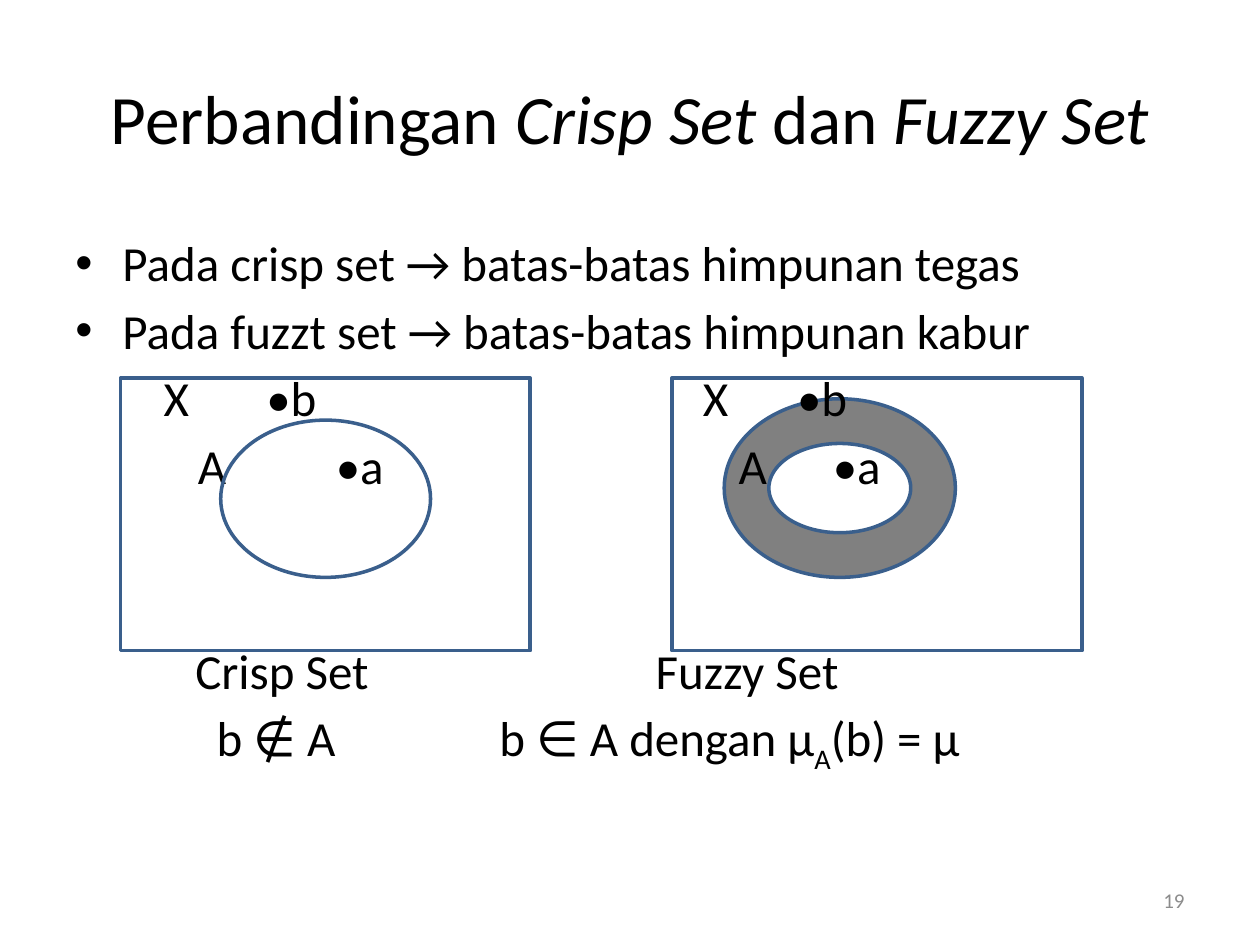
from lxml.etree import SubElement
from pptx import Presentation
from pptx.dml.color import RGBColor
from pptx.enum.shapes import MSO_SHAPE as Shape
from pptx.enum.text import MSO_ANCHOR as Anchor, PP_ALIGN as Align
from pptx.oxml.ns import qn
from pptx.util import Cm, Pt

COLORS = {"text": "000000", "number": "8C8C8C", "outline": "3A5F8C", "fuzzy": "808080"}
FONT = "Calibri"
LINE_GAP = 5
DIAGRAM_GAP = 83.4  # leaves room for the lower part of the diagrams

# Each row: its texts with their tab positions in cm, and the space before in pt
ROWS = [
    ([("X", 1.78), ("•b", 3.85), ("X", 12.65), ("•b", 14.55)], LINE_GAP),
    ([("A", 2.47), ("•a", 5.25), ("A", 13.37), ("•a", 15.27)], LINE_GAP),
    ([("Crisp Set", 2.42), ("Fuzzy Set", 11.7)], DIAGRAM_GAP),
    ([("b ∉ A", 2.85), ("b ∈ A dengan μ", 8.55)], LINE_GAP),
]


def style_font(font, size, color="text"):
    font.name = FONT
    font.size = Pt(size)
    font.color.rgb = RGBColor.from_string(COLORS[color])


def add_text_frame(slide, left, top, width, height, anchor=Anchor.TOP):
    box = slide.shapes.add_textbox(Cm(left), Cm(top), Cm(width), Cm(height))
    frame = box.text_frame
    frame.word_wrap = True
    frame.vertical_anchor = anchor
    return frame


def add_outline(slide, kind, left, top, width, height, fill=None):
    shape = slide.shapes.add_shape(kind, Cm(left), Cm(top), Cm(width), Cm(height))
    shape.shadow.inherit = False
    if fill:
        shape.fill.solid()
        shape.fill.fore_color.rgb = RGBColor.from_string(COLORS[fill])
    else:
        shape.fill.background()
    shape.line.color.rgb = RGBColor.from_string(COLORS["outline"])
    shape.line.width = Pt(2)


def add_title(slide):
    paragraph = add_text_frame(slide, 1.27, 0.76, 22.86, 3.18, Anchor.MIDDLE).paragraphs[0]
    paragraph.alignment = Align.CENTER
    parts = [("Perbandingan ", False), ("Crisp Set ", True), ("dan ", False), ("Fuzzy Set", True)]
    for text, italic in parts:
        run = paragraph.add_run()
        run.text = text
        style_font(run.font, 39.6)
        run.font.italic = italic


def set_bullet(paragraph):
    properties = paragraph._p.get_or_add_pPr()
    properties.set("marL", str(Cm(0.95)))
    properties.set("indent", str(-Cm(0.95)))
    SubElement(properties, qn("a:buFont"), typeface="Arial")
    SubElement(properties, qn("a:buChar"), char="•")


def set_tabs(paragraph, positions):
    tabs = SubElement(paragraph._p.get_or_add_pPr(), qn("a:tabLst"))
    for position in positions:
        SubElement(tabs, qn("a:tab"), pos=str(Cm(position)), algn="l")


def add_body(slide):
    frame = add_text_frame(slide, 1.27, 4.57, 22.86, 12.57)
    frame.text = ("Pada crisp set → batas-batas himpunan tegas\n"
                  "Pada fuzzt set → batas-batas himpunan kabur")
    for paragraph in frame.paragraphs:
        set_bullet(paragraph)
    frame.paragraphs[1].space_before = Pt(LINE_GAP)

    for items, gap in ROWS:
        paragraph = frame.add_paragraph()
        paragraph.text = "".join("\t" + text for text, _ in items)
        set_tabs(paragraph, [position for _, position in items])
        paragraph.space_before = Pt(gap)

    membership = frame.paragraphs[-1]
    subscript = membership.add_run()
    subscript.text = "A"
    subscript.font._element.set("baseline", "-25000")
    membership.add_run().text = "(b) = μ"

    for paragraph in frame.paragraphs:
        for run in paragraph.runs:
            style_font(run.font, 28)


def add_slide_number(slide):
    frame = add_text_frame(slide, 18.2, 17.65, 5.93, 1.01, Anchor.MIDDLE)
    frame.text = "19"
    paragraph = frame.paragraphs[0]
    paragraph.alignment = Align.RIGHT
    style_font(paragraph.runs[0].font, 12, "number")


def main():
    presentation = Presentation()
    presentation.slide_width, presentation.slide_height = Cm(25.4), Cm(19.05)
    slide = presentation.slides.add_slide(presentation.slide_layouts[6])

    add_outline(slide, Shape.DONUT, 14.6, 8.04, 4.66, 3.6, fill="fuzzy")
    add_title(slide)
    add_body(slide)
    add_slide_number(slide)
    for left in (2.43, 13.55):
        add_outline(slide, Shape.RECTANGLE, left, 7.62, 8.26, 5.5)
    add_outline(slide, Shape.OVAL, 4.45, 8.47, 4.23, 3.17)

    presentation.save("out.pptx")


if __name__ == "__main__":
    main()
